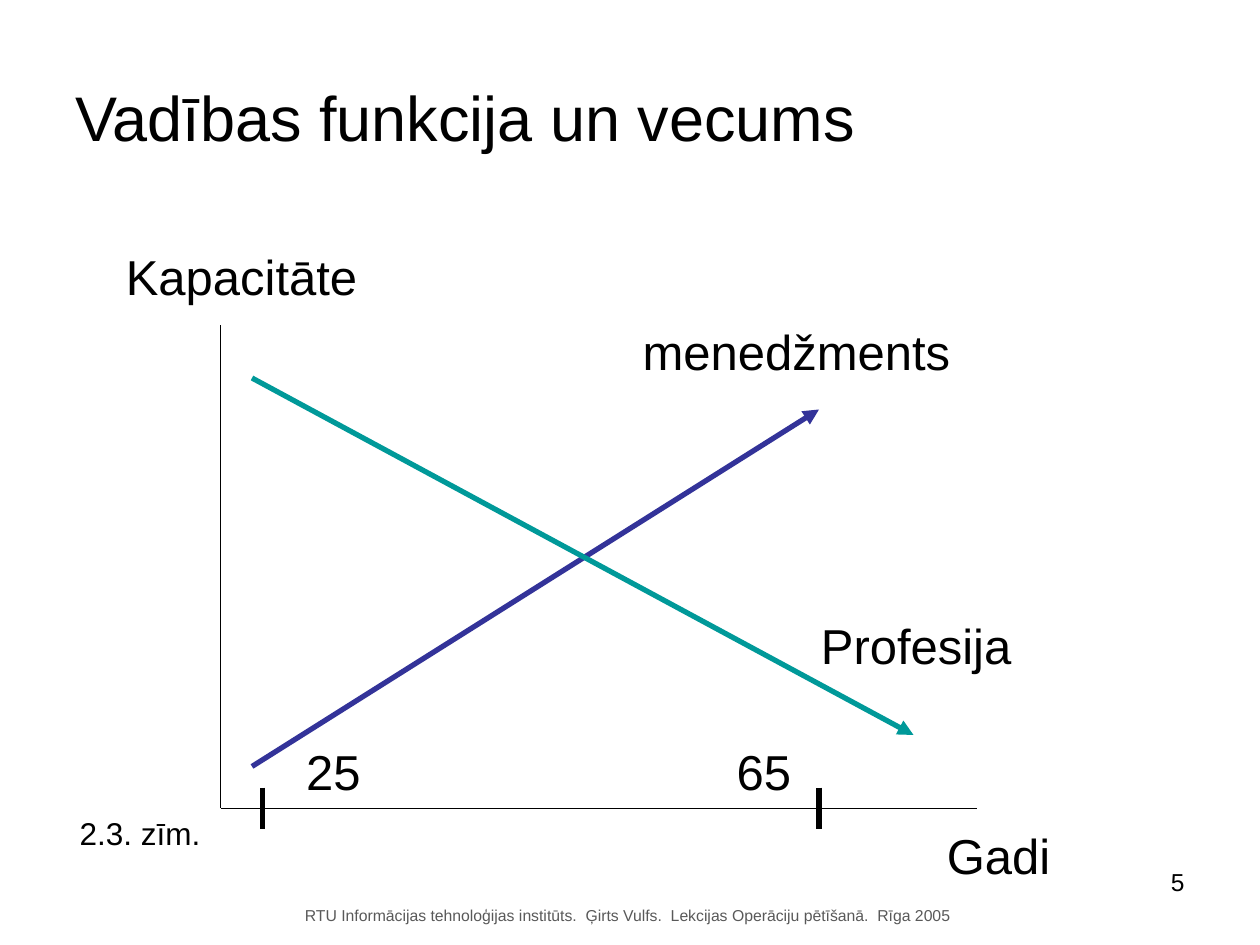
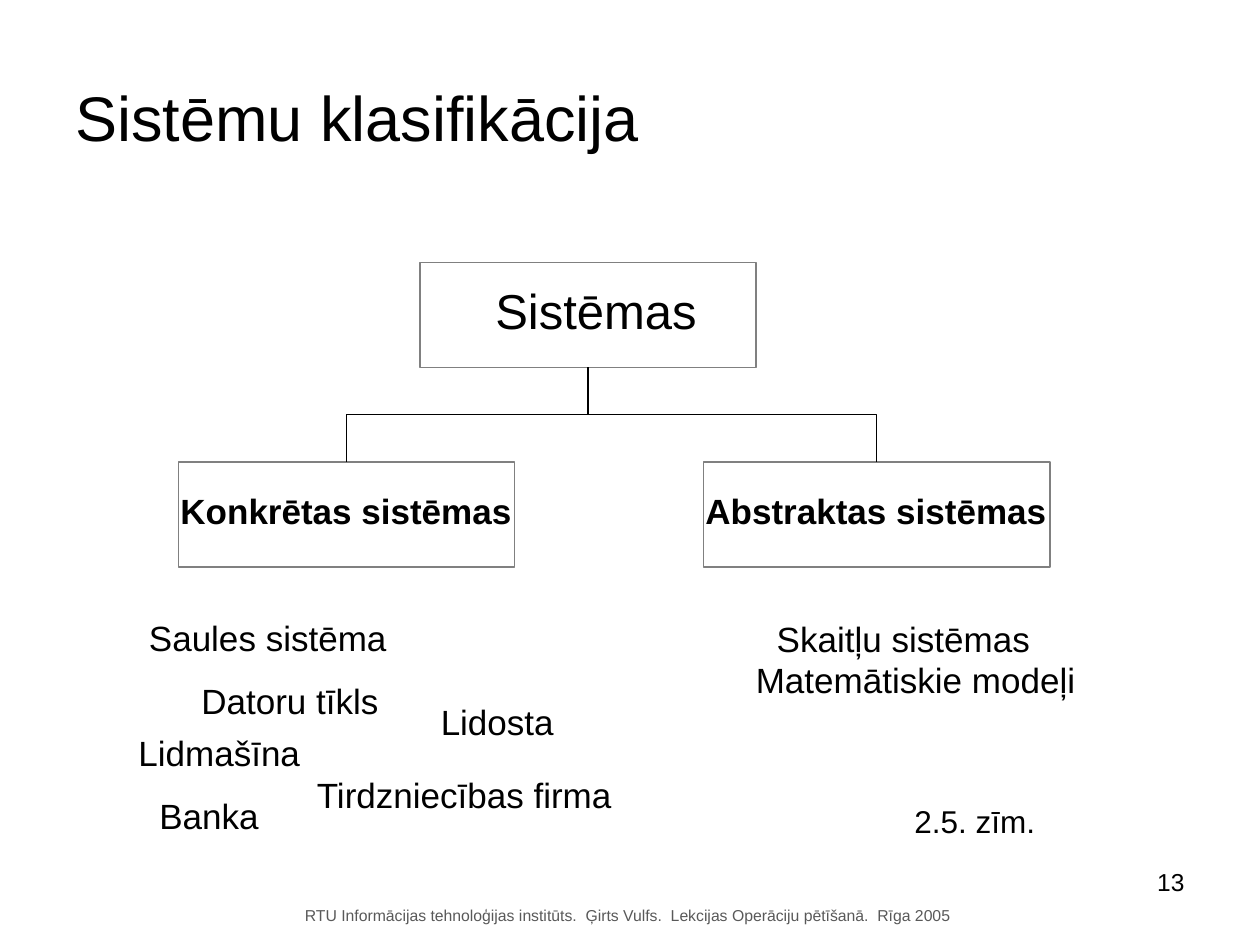
"""Build two lecture slides: a capacity-by-age diagram and a tree of system classes."""
from dataclasses import dataclass

from lxml.etree import SubElement
from pptx import Presentation
from pptx.dml.color import RGBColor
from pptx.enum.shapes import MSO_CONNECTOR as Connector, MSO_SHAPE as Shape
from pptx.enum.text import MSO_ANCHOR as Anchor, MSO_AUTO_SIZE as AutoSize, PP_ALIGN as Align
from pptx.oxml.ns import qn
from pptx.util import Inches, Pt

CELLS_PER_INCH = 12
COLUMNS, ROWS = 10 * CELLS_PER_INCH, 7.5 * CELLS_PER_INCH
BLANK_LAYOUT = 6


@dataclass(frozen=True)
class Theme:
    font: str = "Arial"
    text: str = "000000"
    muted: str = "595959"
    box_fill: str = "FFFFFF"
    box_line: str = "808080"
    management: str = "333399"
    profession: str = "009999"
    title_size: int = 36
    label_size: int = 28
    item_size: int = 20
    caption_size: int = 18
    number_size: int = 14
    footer_size: int = 9
    thin: float = 0.75
    thick: float = 3


THEME = Theme()

FOOTER = "RTU Informācijas tehnoloģijas institūts.  Ģirts Vulfs.  Lekcijas Operāciju pētīšanā.  Rīga 2005"
FOOTER_PLACE = (27.85, 85.7, 64.2)
TITLE_PLACE = (6, 3.6, 108, 15)
NUMBER_PLACE = (104.4, 82, 9.6, 6.2)

AGE_TITLE, AGE_NUMBER = "Vadības funkcija un vecums", "5"
AXES = [((21, 31), (21, 77)), ((21, 77), (93, 77))]
TRENDS = [
    ((24, 73), (78, 39), THEME.management),
    ((24, 36), (87, 70), THEME.profession),
]
TICK_COLUMNS, TICK_ROWS = (78, 25), (75, 79)
AGE_LABELS = [
    ("Kapacitāte", (10.7, 22.85, 24.6)),
    ("Gadi", (88.8, 78, 12.6)),
    ("65", (68.8, 70, 7.9)),
    ("25", (27.8, 70, 7.9)),
    ("menedžments", (59.9, 30, 31.9)),
    ("Profesija", (76.9, 58, 20.7)),
]
AGE_CAPTION = ("2.3. zīm.", (6.4, 76.9, 14))

TREE_TITLE, TREE_NUMBER = "Sistēmu klasifikācija", "13"
BOX_HEIGHT = 10
ROOT_BOX = (40, 25, 32)
CHILD_BOXES = [(67, 44, 33), (17, 44, 32)]
ROOT_LABEL = ("Sistēmas", (46, 26.15, 21.9))
CHILD_LABELS = [
    ("Konkrētas sistēmas", (16, 46, 34.2)),
    ("Abstraktas sistēmas", (66, 46, 35.2)),
]
EXAMPLES = [
    ("Skaitļu sistēmas", (72.8, 58.2, 26.7)),
    ("Saules sistēma", (13, 58.1, 25.3)),
    ("Datoru tīkls", (18, 64.1, 19.5)),
    ("Lidmašīna", (12, 69.1, 18)),
    ("Banka", (14, 75.1, 12.1)),
    ("Tirdzniecības firma", (29, 73.1, 30.8)),
    ("Lidosta", (40.8, 66.15, 13.4)),
    ("Matemātiskie modeļi", (70.8, 62.15, 33)),
]
TREE_CAPTION = ("2.5. zīm.", (85.9, 75.8, 14))


def cells(count):
    return Inches(count / CELLS_PER_INCH)


def color(value):
    return RGBColor.from_string(value)


def add_text(slide, text, place, size, align=Align.LEFT, ink=THEME.text, bold=False, anchor=Anchor.TOP):
    """Add one line of text; a place without a height fits its text."""
    fitted = len(place) == 3
    height = place[3] if not fitted else (size * 1.2 / 72 + 0.1) * CELLS_PER_INCH
    box = slide.shapes.add_textbox(*map(cells, (*place[:3], height)))
    frame = box.text_frame
    frame.word_wrap = not fitted
    frame.auto_size = AutoSize.SHAPE_TO_FIT_TEXT if fitted else AutoSize.NONE
    frame.vertical_anchor = anchor
    paragraph = frame.paragraphs[0]
    paragraph.alignment = align
    run = paragraph.add_run()
    run.text = text
    run.font.name, run.font.size, run.font.bold = THEME.font, Pt(size), bold
    run.font.color.rgb = color(ink)


def add_line(slide, start, end, ink=THEME.text, width=THEME.thin, arrow=False, kind=Connector.STRAIGHT):
    connector = slide.shapes.add_connector(kind, *map(cells, (*start, *end)))
    connector.line.color.rgb = color(ink)
    connector.line.width = Pt(width)
    if arrow:
        SubElement(connector.line._get_or_add_ln(), qn("a:tailEnd"), type="triangle")
    SubElement(connector._element.spPr, qn("a:effectLst"))
    return connector


def add_box(slide, place):
    box = slide.shapes.add_shape(Shape.FLOWCHART_PROCESS, *map(cells, (*place, BOX_HEIGHT)))
    box.shadow.inherit = False
    box.fill.solid()
    box.fill.fore_color.rgb = color(THEME.box_fill)
    box.line.color.rgb = color(THEME.box_line)
    box.line.width = Pt(THEME.thin)
    return box


def add_branch(slide, parent, child):
    """Join two boxes by an elbow turned to leave and arrive vertically."""
    start_x, start_y = parent.left + parent.width // 2, parent.top + parent.height
    end_x, end_y = child.left + child.width // 2, child.top
    drop, span = end_y - start_y, abs(end_x - start_x)
    branch = add_line(slide, (0, 0), (1, 1), kind=Connector.ELBOW)
    branch.begin_connect(parent, 2)
    branch.end_connect(child, 0)
    branch.left = (start_x + end_x - drop) // 2
    branch.top = (start_y + end_y - span) // 2
    branch.width, branch.height = drop, span
    to_right = end_x > start_x
    transform = branch._element.spPr.find(qn("a:xfrm"))
    transform.set("rot", str((270 if to_right else 90) * 60000))
    transform.set("flipH", str(int(to_right)))
    transform.set("flipV", "0")


def start_slide(presentation, title, number):
    slide = presentation.slides.add_slide(presentation.slide_layouts[BLANK_LAYOUT])
    add_text(slide, FOOTER, FOOTER_PLACE, THEME.footer_size, ink=THEME.muted)
    add_text(slide, title, TITLE_PLACE, THEME.title_size, anchor=Anchor.MIDDLE)
    add_text(slide, number, NUMBER_PLACE, THEME.number_size, Align.RIGHT)
    return slide


def build_age_slide(presentation):
    slide = start_slide(presentation, AGE_TITLE, AGE_NUMBER)
    for start, end in AXES:
        add_line(slide, start, end)
    for start, end, ink in TRENDS:
        add_line(slide, start, end, ink, THEME.thick, arrow=True)
    for column in TICK_COLUMNS:
        add_line(slide, *((column, row) for row in TICK_ROWS), width=THEME.thick)
    for text, place in AGE_LABELS:
        add_text(slide, text, place, THEME.label_size, Align.CENTER)
    add_text(slide, *AGE_CAPTION, THEME.caption_size)


def build_tree_slide(presentation):
    slide = start_slide(presentation, TREE_TITLE, TREE_NUMBER)
    root = add_box(slide, ROOT_BOX)
    for place in CHILD_BOXES:
        add_branch(slide, root, add_box(slide, place))
    add_text(slide, *ROOT_LABEL, THEME.label_size)
    for text, place in CHILD_LABELS:
        add_text(slide, text, place, THEME.item_size, bold=True)
    for text, place in EXAMPLES:
        add_text(slide, text, place, THEME.item_size)
    add_text(slide, *TREE_CAPTION, THEME.caption_size)


def main():
    presentation = Presentation()
    presentation.slide_width, presentation.slide_height = cells(COLUMNS), cells(ROWS)
    build_age_slide(presentation)
    build_tree_slide(presentation)
    presentation.save("out.pptx")


if __name__ == "__main__":
    main()
